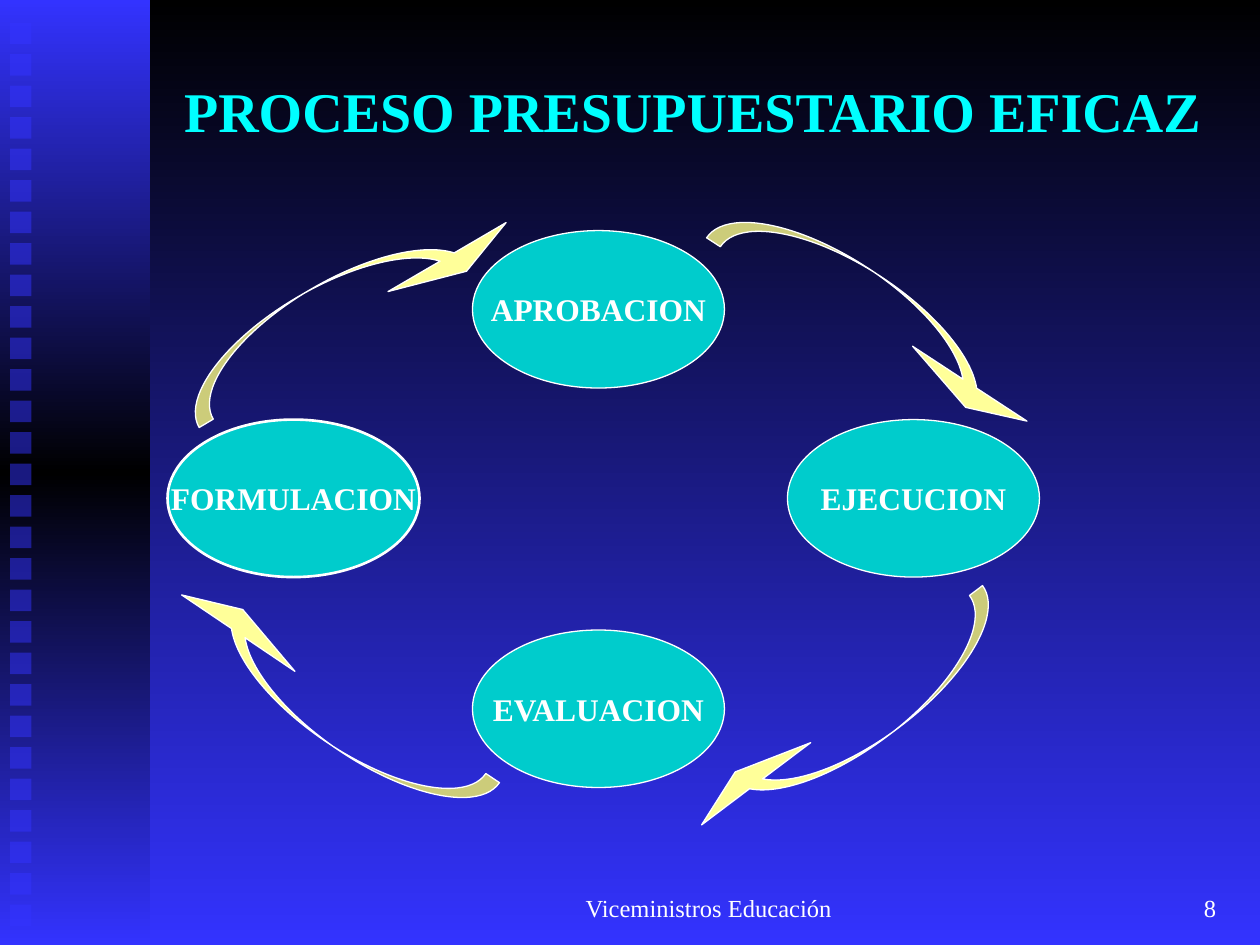
from copy import deepcopy

from lxml.etree import SubElement
from pptx import Presentation
from pptx.dml.color import RGBColor
from pptx.enum.shapes import MSO_SHAPE
from pptx.enum.text import MSO_ANCHOR, PP_ALIGN
from pptx.oxml.ns import qn
from pptx.util import Inches, Pt

BLUE, BLACK, WHITE = "3333FF", "000000", "FFFFFF"
TEAL, CYAN, YELLOW = "00CCCC", "00FFFF", "FFFF99"
COLUMN = ROW = Inches(1)


def paint(target, color):
    """Give a fill, line or font one solid colour."""
    if hasattr(target, "solid"):
        target.solid()
    holder = target if hasattr(target, "rgb") else getattr(target, "fore_color", None) or target.color
    holder.rgb = RGBColor.from_string(color)


def write(shape, text, size, color, align=PP_ALIGN.CENTER, bold=False, wrap=True):
    """Put one vertically centred line of text in a shape."""
    frame = shape.text_frame
    frame.text = text
    frame.word_wrap = wrap
    frame.vertical_anchor = MSO_ANCHOR.MIDDLE
    para = frame.paragraphs[0]
    para.alignment = align
    font = para.runs[0].font
    font.name, font.size, font.bold = "Times New Roman", Pt(size), bold
    font.color.rgb = RGBColor.from_string(color)
    return para


deck = Presentation()
deck.slide_width, deck.slide_height = 10 * COLUMN, Inches(7.5)
page = deck.slides.add_slide(deck.slide_layouts[6])
shapes = page.shapes

# Side band and background share a vertical gradient
band = shapes.add_shape(MSO_SHAPE.RECTANGLE, 0, 0, int(1.19 * COLUMN), deck.slide_height)
band.shadow.inherit = False
band.line.fill.background()
for fill, colors in ((page.background.fill, (BLACK, BLUE)), (band.fill, (BLUE, BLACK, BLUE))):
    fill.gradient()
    fill.gradient_angle = 270
    if len(colors) == 3:
        stop_list = band._element.spPr.find(qn("a:gradFill")).find(qn("a:gsLst"))
        stop_list.append(deepcopy(stop_list[0]))
    for index, (stop, color) in enumerate(zip(fill.gradient_stops, colors)):
        stop.position = index / (len(colors) - 1)
        stop.color.rgb = RGBColor.from_string(color)

# Column of half-transparent squares
for index in range(29):
    square = shapes.add_shape(MSO_SHAPE.RECTANGLE, int(0.08 * COLUMN), int((0.18 + index / 4) * ROW),
                              int(0.17 * COLUMN), int(0.17 * ROW))
    square.shadow.inherit = False
    square.line.fill.background()
    paint(square.fill, BLUE)
    SubElement(square._element.spPr.find(qn("a:solidFill"))[0], qn("a:alpha")).set("val", "50000")

title = shapes.add_textbox(int(1.25 * COLUMN), int(0.25 * ROW), int(8.5 * COLUMN), int(1.25 * ROW))
write(title, "PROCESO PRESUPUESTARIO EFICAZ", 32, CYAN, bold=True)

# Stages of the cycle
stages = [
    ("FORMULACION", 1.33, 3.33, 1.5),
    ("EVALUACION", 3.75, 5, 0.75),
    ("EJECUCION", 6.25, 3.33, 0.75),
    ("APROBACION", 3.75, 1.83, 0.75),
]
for name, left, top, line_width in stages:
    stage = shapes.add_shape(MSO_SHAPE.OVAL, int(left * COLUMN), int(top * ROW), 2 * COLUMN, int(1.25 * ROW))
    stage.shadow.inherit = False
    paint(stage.fill, TEAL)
    paint(stage.line.fill, WHITE)
    stage.line.width = Pt(line_width)
    write(stage, name, 18, WHITE, bold=True, wrap=False)

# Curved arrows linking the stages
arrows = [(1.25, 2.17, 329.7), (1.08, 5.33, 214), (5.25, 5.5, 143), (5.5, 2.25, 33.2)]
for left, top, rotation in arrows:
    arrow = shapes.add_shape(MSO_SHAPE.CURVED_DOWN_ARROW, int(left * COLUMN), int(top * ROW),
                             3 * COLUMN, int(0.5 * ROW))
    arrow.shadow.inherit = False
    for index, share in enumerate((0.26, 2.17, 0.35)):
        arrow.adjustments[index] = share
    arrow.rotation = rotation
    paint(arrow.fill, YELLOW)
    paint(arrow.line.fill, WHITE)
    arrow.line.width = Pt(0.75)

# Footer and page number
footers = [
    ("Viceministros Educación", 3.92, 3.17, PP_ALIGN.CENTER),
    ("8", 7.67, 2.08, PP_ALIGN.RIGHT),
]
for text, left, width, align in footers:
    footer = shapes.add_textbox(int(left * COLUMN), int(7.08 * ROW), int(width * COLUMN), int(0.25 * ROW))
    para = write(footer, text, 14, WHITE, align)
    para._p.get_or_add_pPr().set("marL", str(Inches(0.24)))

deck.save("out.pptx")
